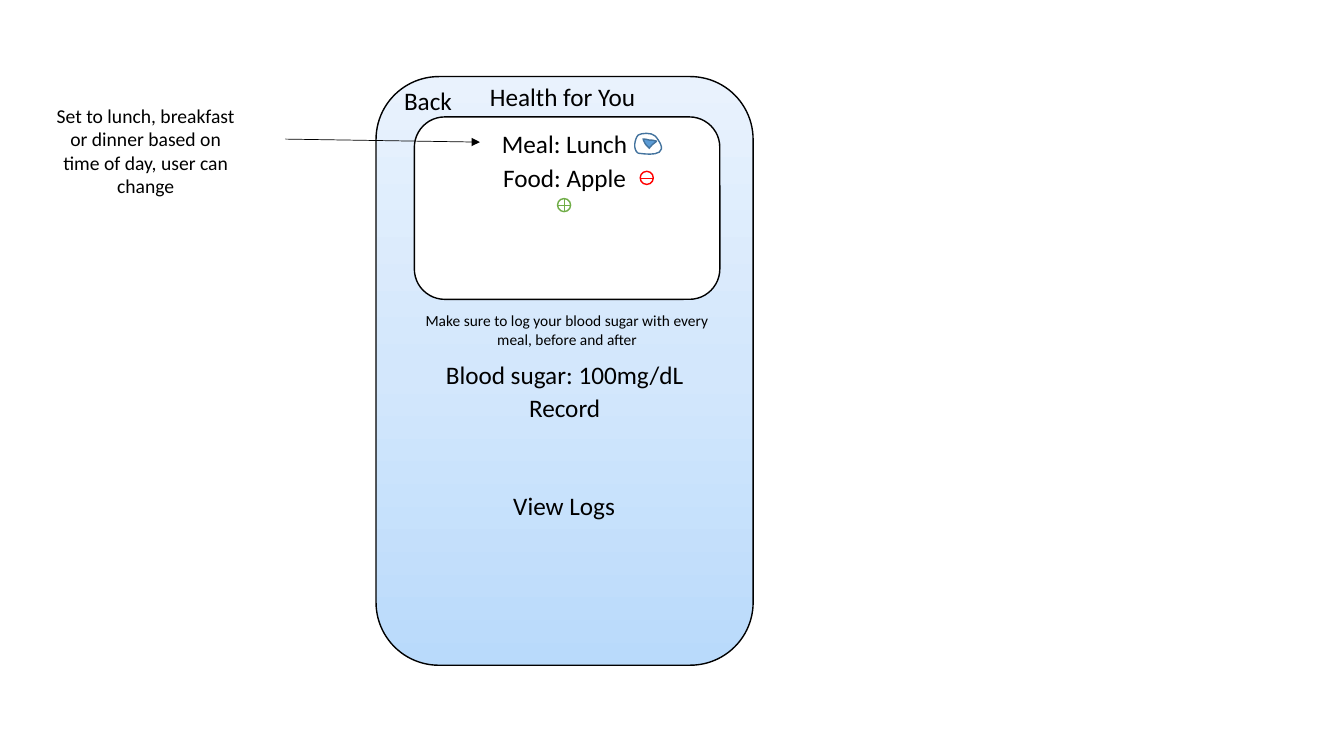
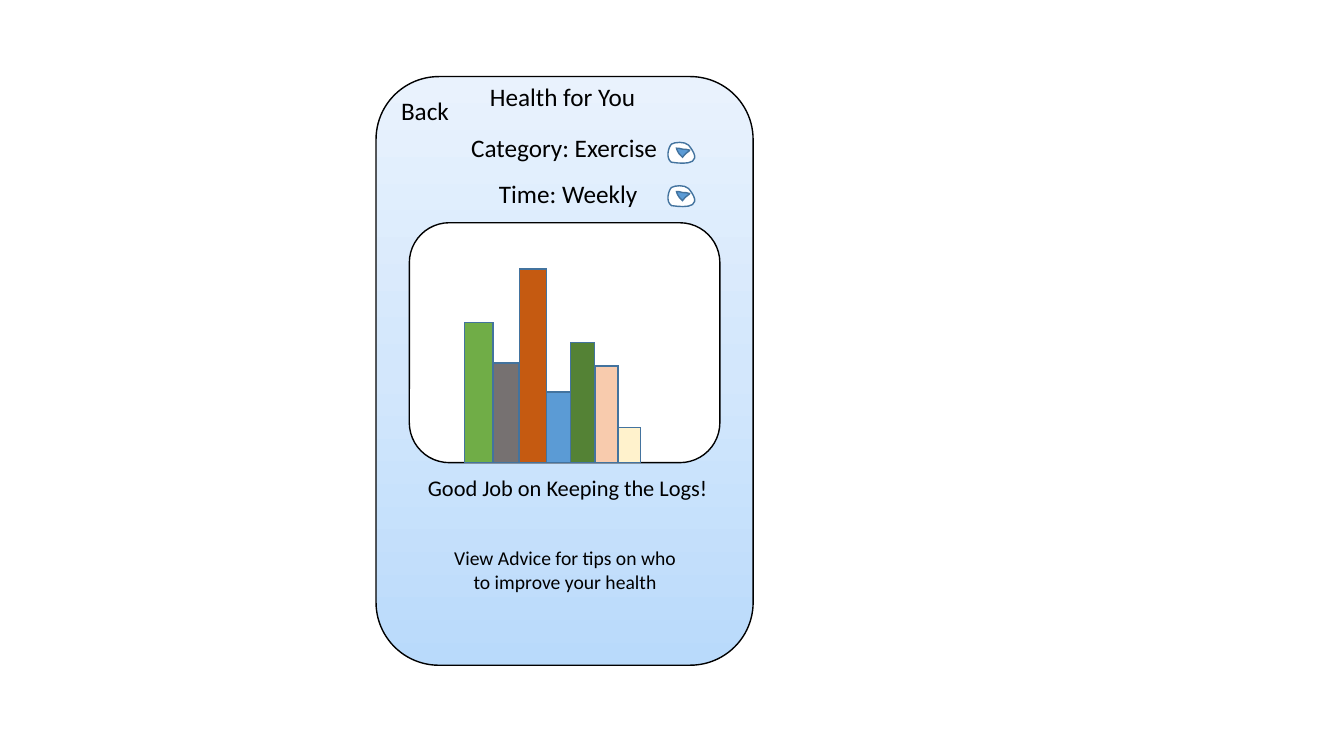
import copy
import itertools

import pptx
import pptx.dml.color
import pptx.enum.shapes
import pptx.enum.text
import pptx.oxml
import pptx.oxml.ns
import pptx.util
from lxml import etree

RGB = pptx.dml.color.RGBColor
Inches, Pt = pptx.util.Inches, pptx.util.Pt
SHAPE = pptx.enum.shapes.MSO_SHAPE
ALIGN = pptx.enum.text.PP_ALIGN
qn = pptx.oxml.ns.qn

# Colours
BLACK, WHITE = RGB(0, 0, 0), RGB(255, 255, 255)
GREEN, RED = RGB(0x70, 0xAD, 0x47), RGB(255, 0, 0)
BLUE, OUTLINE = RGB(0x5B, 0x9B, 0xD5), RGB(0x43, 0x73, 0x9E)
PHONE_STOPS = [(0, RGB(0xB9, 0xDA, 0xFB)), (0.5, RGB(0xD3, 0xE7, 0xFC)),
               (1, RGB(0xE9, 0xF2, 0xFD))]

# Shared layout, in inches: left, top, width, height
SLIDE = (13.33, 7.5)
PHONE = (3.73, 0.76, 3.74, 5.84)
TITLE = ("Health for You", (4.76, 0.76, 1.69, 0.4), 18)

# Screen content: text, box, size
MEAL_SCREEN = {
    "card": (4.11, 1.16, 3.03, 1.81),
    "texts": [
        ("Meal: Lunch", (4.85, 1.22, 1.5, 0.4), 18),
        ("Food: Apple", (4.85, 1.56, 1.5, 0.4), 18),
        ("Make sure to log your blood sugar with every meal, before and after",
         (4.11, 3.04, 3.03, 0.47), 11),
        ("Set to lunch, breakfast or dinner based on time of day, user can change",
         (0.42, 0.98, 2.05, 1.04), 14),
        ("Blood sugar: 100mg/dL", (4.31, 3.52, 2.58, 0.4), 18),
        ("Record", (4.99, 3.84, 1.22, 0.4), 18),
        ("View Logs", (4.47, 4.82, 2.25, 0.4), 18),
        ("Back", (3.05, 0.8, 2.39, 0.4), 18),
    ],
    "dropdowns": [(6.3, 1.32)],
}
LOG_SCREEN = {
    "card": (4.06, 2.21, 3.08, 2.38),
    "texts": [
        ("Category: Exercise", (4.5, 1.26, 2.19, 0.4), 18),
        ("Time: Weekly", (4.78, 1.72, 1.71, 0.4), 18),
        ("Back", (3.54, 0.9, 1.35, 0.4), 18),
        ("Good Job on Keeping the Logs!", (4.09, 4.65, 3.08, 0.37), 16),
        ("View Advice for tips on who to improve your health",
         (4.39, 5.37, 2.43, 0.57), 14),
    ],
    "dropdowns": [(6.63, 1.41), (6.63, 1.84)],
}
NOTE_ARROW = (2.83, 1.38, 4.76, 1.41)
BUTTON = 0.13
ADD_AT, REMOVE_AT = (5.53, 1.97), (6.35, 1.7)

# Sketched weekly log: bar width, height and colour, side by side on a baseline
BARS_LEFT, BASELINE = 4.61, 4.59
LOG_BARS = [(0.28, 1.39, GREEN), (0.26, 0.99, RGB(0x76, 0x71, 0x71)),
            (0.27, 1.92, RGB(0xC5, 0x5A, 0x11)), (0.24, 0.7, BLUE),
            (0.24, 1.19, RGB(0x54, 0x82, 0x35)),
            (0.23, 0.96, RGB(0xF8, 0xCB, 0xAD)),
            (0.22, 0.35, RGB(0xFF, 0xF2, 0xCC))]

# Dropdown outlines, relative to the icon's corner: box, start, Bezier curves
BLOB = ((0, 0, 0.26, 0.21), (0.03, 0.02), [
    ((0.06, 0), (0.16, -0.01), (0.2, 0.03)),
    ((0.4, 0.27), (0.05, 0.2), (0.03, 0.2)),
    ((-0.03, 0.16), (0, 0.05), (0.03, 0.02))])
POINTER = ((0.08, 0.06, 0.13, 0.09), (0.08, 0.06), [
    ((0.09, 0.05), (0.12, 0.07), (0.14, 0.07)),
    ((0.16, 0.07), (0.19, 0.07), (0.21, 0.08)),
    ((0.22, 0.08), (0.2, 0.09), (0.19, 0.1)),
    ((0.17, 0.11), (0.14, 0.15), (0.14, 0.15)),
    ((0.13, 0.14), (0.12, 0.13), (0.11, 0.12)),
    ((0.1, 0.11), (0.08, 0.07), (0.08, 0.06))])


def inches(values):
    return [Inches(v) for v in values]


def paint(sp, fill, line):
    sp.shadow.inherit = False
    if fill is not None:
        sp.fill.solid()
        sp.fill.fore_color.rgb = fill
    sp.line.color.rgb = line
    sp.line.width = Pt(1)
    etree.SubElement(sp._element.spPr.find(qn("a:ln")), qn("a:miter"), lim="800000")


def add_panel(shapes, kind, box, fill, line):
    sp = shapes.add_shape(kind, *inches(box))
    paint(sp, fill, line)
    return sp


def add_text(s, text, box, size, align=ALIGN.CENTER):
    tf = s.shapes.add_textbox(*inches(box)).text_frame
    tf.word_wrap = True
    tf.auto_size = pptx.enum.text.MSO_AUTO_SIZE.SHAPE_TO_FIT_TEXT
    p = tf.paragraphs[0]
    p.alignment = align
    r = p.add_run()
    r.text = text
    for name, value in {"name": "Calibri", "size": Pt(size)}.items():
        setattr(r.font, name, value)
    r.font.color.rgb = BLACK


def add_line(shapes, ends, color, arrow=False):
    line = shapes.add_connector(pptx.enum.shapes.MSO_CONNECTOR.STRAIGHT, *inches(ends))
    line.line.color.rgb = color
    line.line.width = Pt(0.5)
    props = line._element.spPr
    if arrow:
        etree.SubElement(props.find(qn("a:ln")), qn("a:tailEnd"), type="triangle")
    etree.SubElement(props, qn("a:effectLst"))


def add_button(s, at, color, plus=False):
    """Round button with a minus or a plus sign."""
    x, y = at
    half = BUTTON / 2
    shapes = s.shapes.add_group_shape().shapes
    add_panel(shapes, SHAPE.OVAL, (x, y, BUTTON, BUTTON), WHITE, color)
    add_line(shapes, (x, y + half, x + BUTTON, y + half), color)
    if plus:
        add_line(shapes, (x + half, y, x + half, y + BUTTON), color)


def add_curved(shapes, at, outline, fill):
    """Closed freeform whose straight segments are turned into Bezier curves."""
    (left, top, width, height), start, curves = outline
    builder = shapes.build_freeform(*inches(start))
    builder.add_line_segments([inches(c[-1]) for c in curves], close=True)
    sp = builder.convert_to_shape()
    box = inches((at[0] + left, at[1] + top, width, height))
    for name, value in zip(("left", "top", "width", "height"), box):
        setattr(sp, name, value)

    outline_path = sp._element.spPr.find(".//" + qn("a:path"))
    for child in list(outline_path):
        outline_path.remove(child)
    for name, value in (("w", width), ("h", height)):
        outline_path.set(name, str(Inches(value)))
    for tag, points in [("moveTo", [start]), *(("cubicBezTo", c) for c in curves)]:
        step = etree.SubElement(outline_path, qn("a:" + tag))
        for x, y in points:
            etree.SubElement(step, qn("a:pt"), x=str(Inches(x - left)),
                             y=str(Inches(y - top)))
    etree.SubElement(outline_path, qn("a:close"))
    paint(sp, fill, OUTLINE)


def add_dropdown(s, at):
    shapes = s.shapes.add_group_shape().shapes
    for outline, fill in ((BLOB, WHITE), (POINTER, BLUE)):
        add_curved(shapes, at, outline, fill)


def add_phone(s):
    sp = add_panel(s.shapes, SHAPE.ROUNDED_RECTANGLE, PHONE, None, BLACK)
    sp.fill.gradient()
    sp.fill.gradient_angle = 90
    stops = sp._element.spPr.find(".//" + qn("a:gsLst"))
    stops.append(copy.deepcopy(stops[0]))
    for stop, (position, color) in zip(sp.fill.gradient_stops, PHONE_STOPS):
        stop.position = position
        stop.color.rgb = color
    add_text(s, *TITLE, align=ALIGN.LEFT)


def add_log_bars(s):
    shapes = s.shapes.add_group_shape().shapes
    lefts = itertools.accumulate((w for w, _, _ in LOG_BARS), initial=BARS_LEFT)
    for x, (w, h, color) in zip(lefts, LOG_BARS):
        add_panel(shapes, SHAPE.RECTANGLE, (x, BASELINE - h, w, h), color, OUTLINE)


def add_screen(prs, screen):
    s = prs.slides.add_slide(prs.slide_layouts[6])
    add_phone(s)
    add_panel(s.shapes, SHAPE.ROUNDED_RECTANGLE, screen["card"], WHITE, BLACK)
    for item in screen["texts"]:
        add_text(s, *item)
    for at in screen["dropdowns"]:
        add_dropdown(s, at)
    return s


def main():
    prs = pptx.Presentation()
    prs.slide_width, prs.slide_height = inches(SLIDE)

    # Meal entry
    s = add_screen(prs, MEAL_SCREEN)
    add_button(s, ADD_AT, GREEN, plus=True)
    add_button(s, REMOVE_AT, RED)
    add_line(s.shapes, NOTE_ARROW, BLACK, arrow=True)

    # Exercise log
    add_log_bars(add_screen(prs, LOG_SCREEN))
    prs.save("out.pptx")


if __name__ == "__main__":
    main()
